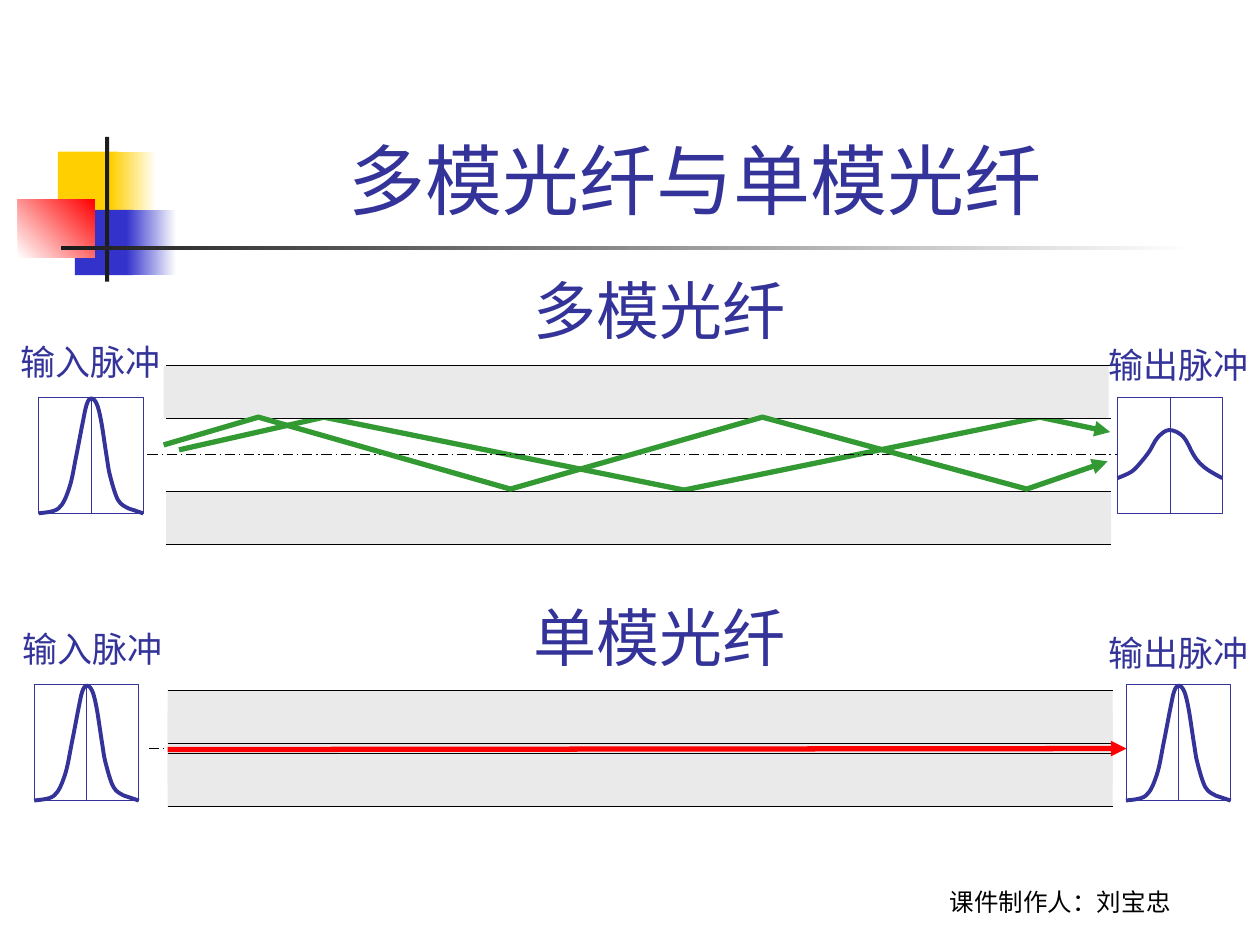
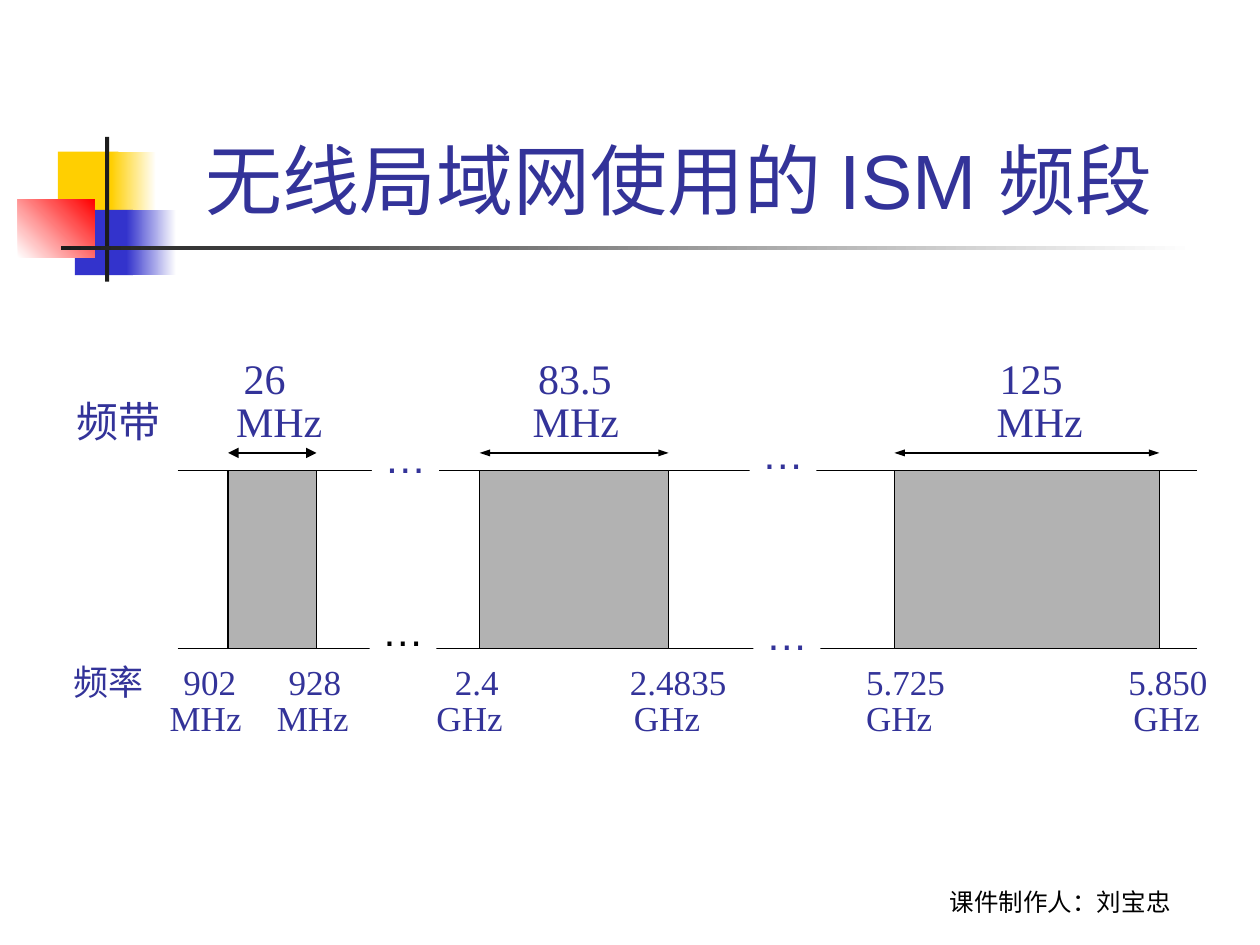
from lxml.etree import SubElement
from pptx import Presentation
from pptx.dml.color import RGBColor
from pptx.enum.dml import MSO_LINE
from pptx.enum.shapes import MSO_CONNECTOR, MSO_SHAPE
from pptx.enum.text import MSO_ANCHOR as ANCHOR, MSO_AUTO_SIZE as AUTO, PP_ALIGN as ALIGN
from pptx.oxml.ns import qn
from pptx.util import Cm, Pt

NAVY, BLACK, WHITE = "333399", "000000", "FFFFFF"
YELLOW, BLUE, RED, DARK = "FFCF01", "3333CC", "FF0000", "1C1C1C"
GREEN, CLADDING, BAND = "339933", "EAEAEA", "B2B2B2"
CJK = "Noto Sans CJK SC"

# Pulse outlines, in cm from the top left of their frame
FRAME_W, FRAME_H = 2.11, 2.34
SHARP = [(0, 2.34), (0.4, 2.24), (0.62, 1.82), (0.76, 1.17), (0.89, 0.5),
         (0.97, 0.14), (1.06, 0.02), (1.17, 0.13), (1.26, 0.48), (1.37, 1.19),
         (1.44, 1.58), (1.6, 2.07), (1.81, 2.24), (1.93, 2.28), (2.11, 2.34)]
SPREAD = [(0, 1.63), (0.28, 1.5), (0.46, 1.32), (0.64, 1.09), (0.81, 0.81),
          (1.04, 0.66), (1.32, 0.79), (1.52, 1.14), (1.65, 1.32), (1.83, 1.47),
          (2.11, 1.63)]


def rgb(color):
    return RGBColor.from_string(color)


# Basic elements
def set_line(sp, color, width):
    sp.line.color.rgb = rgb(color)
    sp.line.width = Pt(width)


def add_heads(sp, *ends, head_width="med"):
    ln = sp.line._get_or_add_ln()
    for end in ends:
        SubElement(ln, qn(f"a:{end}"), type="triangle", w=head_width, len="med")


def add_rect(s, x, y, w, h, fill, line=None, width=0.75):
    sp = s.shapes.add_shape(MSO_SHAPE.RECTANGLE, Cm(x), Cm(y), Cm(w), Cm(h))
    sp.shadow.inherit = False
    sp.fill.solid()
    sp.fill.fore_color.rgb = rgb(fill)
    if line:
        set_line(sp, line, width)
    else:
        sp.line.fill.background()
    return sp


def add_gradient(s, x, y, w, h, start, end, angle=0):
    sp = add_rect(s, x, y, w, h, start)
    sp.fill.gradient()
    sp.fill.gradient_angle = angle
    for stop, color in zip(sp.fill.gradient_stops, (start, end)):
        stop.color.rgb = rgb(color)
    return sp


def add_line(s, x1, y1, x2, y2, color=BLACK, width=0.75):
    ln = s.shapes.add_connector(MSO_CONNECTOR.STRAIGHT, Cm(x1), Cm(y1), Cm(x2), Cm(y2))
    set_line(ln, color, width)
    SubElement(ln._element.spPr, qn("a:effectLst"))
    return ln


def add_path(s, points, color, width):
    pts = [(Cm(x), Cm(y)) for x, y in points]
    builder = s.shapes.build_freeform(*pts[0])
    builder.add_line_segments(pts[1:], close=False)
    sp = builder.convert_to_shape()
    sp.shadow.inherit = False
    sp.fill.background()
    set_line(sp, color, width)
    return sp


def smooth(sp):
    """Turn the straight segments of a freeform into Bezier curves."""
    nodes = list(sp._element.iter(qn("a:pt")))
    pts = [(int(n.get("x")), int(n.get("y"))) for n in nodes]
    pts = [pts[0], *pts, pts[-1]]
    for node, a, b, c, d in zip(nodes[1:], pts, pts[1:], pts[2:], pts[3:]):
        segment = node.getparent()
        curve = SubElement(segment.getparent(), qn("a:cubicBezTo"))
        leave = [q + (r - p) / 6 for p, q, r in zip(a, b, c)]
        arrive = [q - (r - p) / 6 for p, q, r in zip(b, c, d)]
        for x, y in (leave, arrive, c):
            SubElement(curve, qn("a:pt"), x=str(round(x)), y=str(round(y)))
        segment.getparent().replace(segment, curve)


def format_text(p, size, font, color=NAVY, ea=CJK):
    p.font.size = Pt(size)
    p.font.name = font
    p.font.color.rgb = rgb(color)
    latin = p._p.find(".//" + qn("a:latin"))
    east = SubElement(latin.getparent(), qn("a:ea"), typeface=ea)
    latin.addnext(east)


def add_text(s, x, y, w, h, text, size, font, color=NAVY):
    tb = s.shapes.add_textbox(Cm(x), Cm(y), Cm(w), Cm(h))
    tf = tb.text_frame
    tf.word_wrap = False
    tf.text = text
    format_text(tf.paragraphs[0], size, font, color)
    return tf


def add_tabbed_text(s, x, y, w, h, size, rows):
    """Rows of (first label, [(tab position in cm, text), ...])."""
    tf = s.shapes.add_textbox(Cm(x), Cm(y), Cm(w), Cm(h)).text_frame
    tf.word_wrap = True
    for i, (label, cells) in enumerate(rows):
        p = tf.paragraphs[0] if i == 0 else tf.add_paragraph()
        p.add_run().text = "\t".join([label] + [text for _, text in cells])
        p.line_spacing = 0.85
        tabs = SubElement(p._p.get_or_add_pPr(), qn("a:tabLst"))
        for pos, _ in cells:
            SubElement(tabs, qn("a:tab"), pos=str(Cm(pos)), algn="l")
        format_text(p, size, "Times New Roman")


# Shared parts
def add_decoration(s, master):
    parts = [
        add_rect(s, 1.17, 3.06, 1.22, 1.32, YELLOW),
        add_gradient(s, 2.24, 3.06, 0.91, 1.32, YELLOW, WHITE),
        add_rect(s, 1.51, 4.23, 1.17, 1.32, BLUE),
        add_gradient(s, 2.55, 4.23, 1.0, 1.32, BLUE, WHITE),
        add_gradient(s, 0.36, 4.02, 1.55, 1.17, WHITE, RED, 45),
        add_rect(s, 2.12, 2.76, 0.08, 2.92, DARK),
        add_gradient(s, 1.23, 4.95, 22.86, 0.09, DARK, WHITE),
    ]
    first = master.placeholders[0].element
    for sp in parts:
        first.addprevious(sp.element)


def add_slide(prs, layout, title, align, indent=0):
    s = prs.slides.add_slide(layout)
    sp = s.shapes.title
    sp.left, sp.top, sp.width, sp.height = Cm(3.2), Cm(0.58), Cm(21.64), Cm(4.06)
    tf = sp.text_frame
    tf.text = title
    tf.auto_size = AUTO.NONE
    tf.vertical_anchor = ANCHOR.BOTTOM
    tf.margin_left = Cm(indent)
    tf.margin_top = tf.margin_right = 0
    tf.margin_bottom = Cm(0.11)
    tf.paragraphs[0].alignment = align
    format_text(tf.paragraphs[0], 44, "Arial")

    footer = add_text(s, 17.35, 17.32, 8.05, 1.27, "课件制作人：刘宝忠", 14, "Lato", BLACK)
    footer.word_wrap = True
    footer.vertical_anchor = ANCHOR.BOTTOM
    footer.paragraphs[0].alignment = ALIGN.CENTER
    return s


# Fibre drawing
def add_pulse(s, x, y, outline, label, label_x, label_y, frame_width):
    frame = add_rect(s, x, y, FRAME_W, FRAME_H, WHITE, NAVY, frame_width)
    mid = x + FRAME_W / 2
    axis = add_line(s, mid, y, mid, y + FRAME_H, NAVY, 0.5)
    axis.begin_connect(frame, 0)
    axis.end_connect(frame, 2)
    smooth(add_path(s, [(x + dx, y + dy) for dx, dy in outline], NAVY, 2.25))
    add_text(s, label_x, label_y, 3.33, 1.12, label, 20, CJK)


def add_fibre(s, x, claddings, axis_y):
    """Claddings are (left, top) pairs; their border lines start at x."""
    width, height = 19.05, 1.07
    for left, top in claddings:
        add_rect(s, left, top, width, height, CLADDING)
    for _, top in claddings:
        for y in (top, top + height):
            add_line(s, x, y, x + width, y)
    axis = add_line(s, x - 0.38, axis_y, x + 19.35, axis_y)
    axis.line.dash_style = MSO_LINE.LONG_DASH_DOT


def add_ray(s, points):
    add_heads(add_path(s, points, GREEN, 3), "tailEnd")


def build_fibres(s):
    # Multimode fibre: rays bounce between the claddings
    add_ray(s, [(3.61, 9.07), (6.53, 8.41), (13.79, 9.88), (20.96, 8.41), (22.38, 8.71)])
    add_fibre(s, 3.35, [(3.3, 7.37), (3.35, 9.91)], 9.16)
    add_pulse(s, 0.78, 8.01, SHARP, "输入脉冲", 0.16, 6.73, 0.75)
    add_pulse(s, 22.53, 8.01, SPREAD, "输出脉冲", 22.1, 6.81, 0.75)
    add_ray(s, [(3.3, 8.97), (5.21, 8.41), (10.29, 9.86), (15.37, 8.41),
                (20.7, 9.86), (22.33, 9.3)])
    add_text(s, 10.5, 5.34, 5.59, 1.78, "多模光纤", 36, "Lato")

    # Single-mode fibre: one straight ray in a thin core
    add_rect(s, 3.38, 14.35, 19.05, 1.47, CLADDING)
    add_fibre(s, 3.38, [(3.38, 13.92), (3.38, 15.19)], 15.09)
    add_pulse(s, 0.69, 13.8, SHARP, "输入脉冲", 0.2, 12.52, 0.5)
    add_pulse(s, 22.7, 13.8, SHARP, "输出脉冲", 22.1, 12.6, 0.5)
    add_text(s, 10.5, 11.94, 5.59, 1.78, "单模光纤", 36, "Lato")
    add_heads(add_line(s, 3.38, 15.11, 22.71, 15.09, RED, 3), "tailEnd")


# Frequency bands
def add_ellipsis(s, x, y, color=NAVY):
    sp = add_rect(s, x, y, 1.35, 1.27, WHITE)
    tf = sp.text_frame
    tf.word_wrap = False
    tf.vertical_anchor = ANCHOR.TOP
    tf.text = "…"
    tf.paragraphs[0].alignment = ALIGN.LEFT
    format_text(tf.paragraphs[0], 24, "Arial", color, ea="Arial")


def build_bands(s):
    add_tabbed_text(s, 1.3, 7.14, 22, 1.98, 24, [
        ("", [(3.36, "26"), (9.3, "83.5"), (18.6, "125")]),
        ("频带", [(3.21, "MHz"), (9.19, "MHz"), (18.54, "MHz")]),
    ])
    add_tabbed_text(s, 1.23, 13.33, 24, 1.7, 20, [
        ("频率", [(2.22, "902"), (4.34, "928"), (7.69, "2.4"), (11.22, "2.4835"),
                (15.98, "5.725"), (21.27, "5.850")]),
        ("", [(1.94, "MHz"), (4.1, "MHz"), (7.32, "GHz"), (11.3, "GHz"),
              (15.98, "GHz"), (21.37, "GHz")]),
    ])
    top, bottom = 9.48, 13.08
    for y in (top, bottom):
        add_line(s, 3.58, y, 24.13, y)
    bands = ((4.6, 1.78, "med"), (9.67, 3.81, "sm"), (18.03, 5.34, "sm"))
    for x, width, _ in bands:
        add_rect(s, x, top, width, bottom - top, BAND, BLACK)
    for x, width, head in bands:
        span = add_line(s, x, 9.13, x + width, 9.13)
        add_heads(span, "headEnd", "tailEnd", head_width=head)
    add_ellipsis(s, 7.5, 8.58)
    add_ellipsis(s, 7.45, 12.07, BLACK)
    add_ellipsis(s, 15.11, 8.5)
    add_ellipsis(s, 15.19, 12.14)


def main():
    prs = Presentation()
    prs.slide_width, prs.slide_height = Cm(25.4), Cm(19.05)
    layout = prs.slide_layouts[5]

    fibres = add_slide(prs, layout, "多模光纤与单模光纤", ALIGN.CENTER)
    add_decoration(fibres, prs.slide_master)
    build_fibres(fibres)

    bands = add_slide(prs, layout, "无线局域网使用的 ISM 频段", ALIGN.LEFT, indent=0.95)
    build_bands(bands)
    prs.save("out.pptx")


if __name__ == "__main__":
    main()
